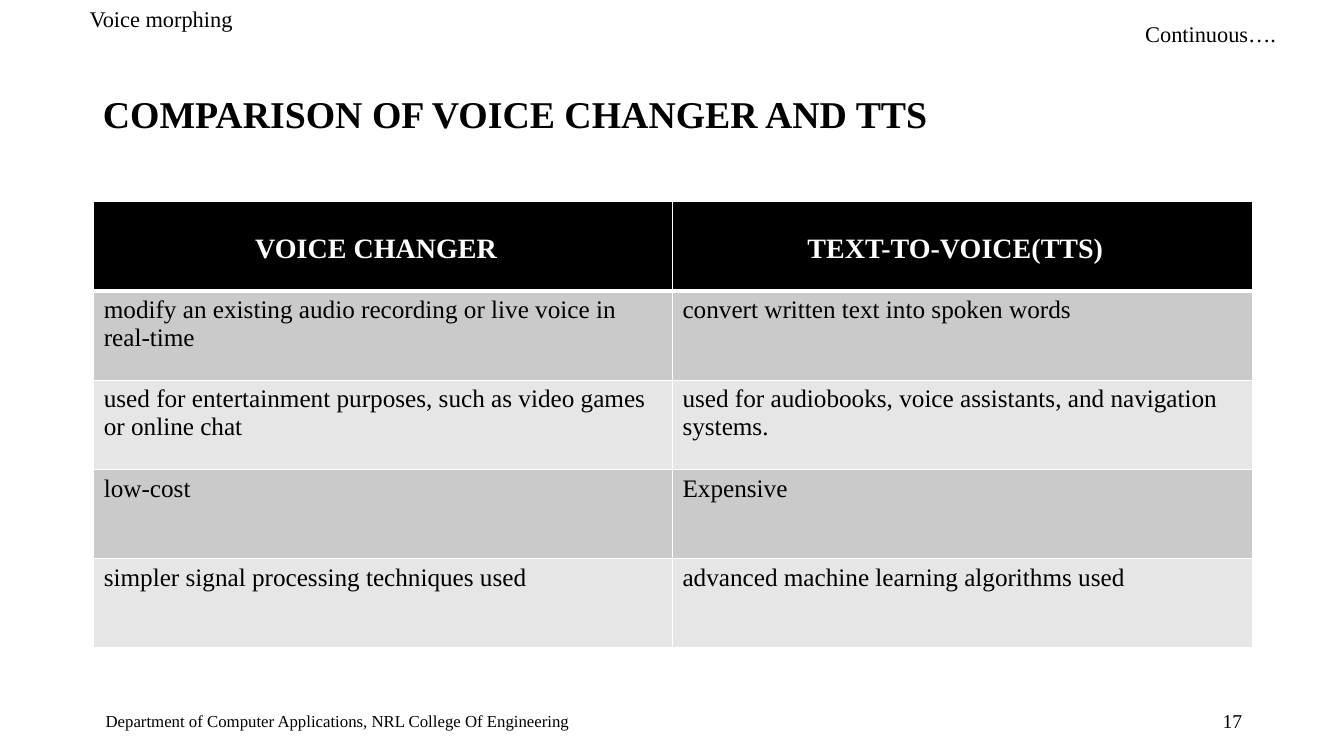
from dataclasses import dataclass

from lxml.etree import SubElement
from pptx import Presentation
from pptx.dml.color import RGBColor
from pptx.enum.text import MSO_ANCHOR as Anchor, PP_ALIGN as Align
from pptx.oxml.ns import qn
from pptx.util import Inches, Pt

FONT = "Times New Roman"
BLACK, WHITE = "000000", "FFFFFF"
BANDS = ("CACACA", "E6E6E6")


@dataclass
class Label:
    text: str
    box: tuple[float, float, float, float]
    size: int
    align: Align = Align.LEFT
    anchor: Anchor = Anchor.TOP


LABELS = [
    Label("Department of Computer Applications, NRL College Of Engineering",
          (0.92, 6.95, 4.86, 0.4), 12, Align.CENTER, Anchor.MIDDLE),
    Label("17", (9.42, 6.95, 3, 0.4), 14, Align.RIGHT, Anchor.MIDDLE),
    Label("Voice morphing", (0.79, 0, 4.44, 0.67), 16),
    Label("Continuous….", (11.26, 0.15, 2.92, 0.67), 16),
]

ROWS = [
    ("VOICE CHANGER", "TEXT-TO-VOICE(TTS)"),
    ("modify an existing audio recording or live voice in real-time",
     "convert written text into spoken words"),
    ("used for entertainment purposes, such as video games or online chat",
     "used for audiobooks, voice assistants, and navigation systems."),
    ("low-cost", "Expensive"),
    ("simpler signal processing techniques used",
     "advanced machine learning algorithms used"),
]


def color(code: str) -> RGBColor:
    return RGBColor.from_string(code)


def write(frame, text: str, size: int, ink: str = BLACK,
          bold: bool = False, align: Align = Align.LEFT) -> None:
    para = frame.paragraphs[0]
    para.alignment = align
    run = para.add_run()
    run.text = text
    font = run.font
    font.name, font.size, font.bold = FONT, Pt(size), bold
    font.color.rgb = color(ink)


def add_label(slide, label: Label) -> None:
    frame = slide.shapes.add_textbox(*map(Inches, label.box)).text_frame
    frame.word_wrap = True
    frame.vertical_anchor = label.anchor
    write(frame, label.text, label.size, align=label.align)


def add_edges(cell, top: int, base: int) -> None:
    props = cell._tc.get_or_add_tcPr()
    for side, width in (("L", 1), ("R", 1), ("T", top), ("B", base)):
        line = SubElement(props, qn(f"a:ln{side}"), w=str(Pt(width)))
        fill = SubElement(line, qn("a:solidFill"))
        SubElement(fill, qn("a:srgbClr"), val=WHITE)


def add_grid(slide) -> None:
    box = map(Inches, (0.93, 2, 11.49, 4.43))
    table = slide.shapes.add_table(len(ROWS), 2, *box).table
    table.horz_banding = False
    for col, width in zip(table.columns, (5.74, 5.75)):
        col.width = Inches(width)
    for r, texts in enumerate(ROWS):
        head = r == 0
        for c, text in enumerate(texts):
            cell = table.cell(r, c)
            # The rule under the header is heavier
            add_edges(cell, 3 if r == 1 else 1, 3 if head else 1)
            cell.fill.solid()
            cell.fill.fore_color.rgb = color(BLACK if head else BANDS[(r - 1) % 2])
            if head:
                cell.margin_top, cell.margin_right = Inches(0.32), Inches(0.24)
                write(cell.text_frame, text, 20, WHITE, True, Align.CENTER)
            else:
                write(cell.text_frame, text, 18)


def main() -> None:
    deck = Presentation()
    deck.slide_width, deck.slide_height = Inches(13.33), Inches(7.5)
    slide = deck.slides.add_slide(deck.slide_layouts[5])

    # Title
    title = slide.shapes.title
    title.left, title.top, title.width, title.height = map(
        Inches, (0.92, 0.67, 11.5, 0.96))
    title.text_frame.vertical_anchor = Anchor.MIDDLE
    write(title.text_frame, "COMPARISON OF VOICE CHANGER AND TTS", 27, bold=True)
    title.text_frame.paragraphs[0].line_spacing = 0.9

    # Comparison table
    add_grid(slide)

    # Header and footer texts
    for label in LABELS:
        add_label(slide, label)

    deck.save("out.pptx")


if __name__ == "__main__":
    main()
